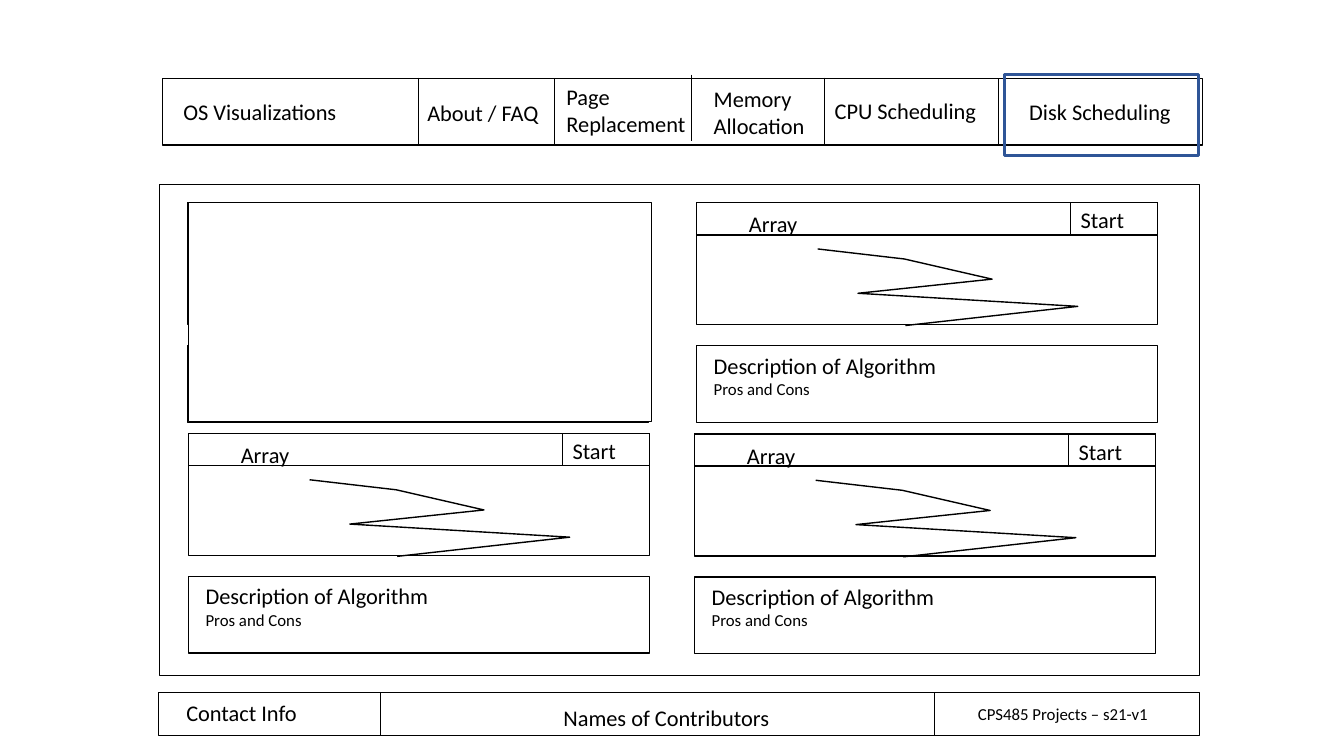
from pptx import Presentation
from pptx.dml.color import RGBColor
from pptx.enum.shapes import MSO_CONNECTOR as CONNECTOR, MSO_SHAPE as SHAPE
from pptx.enum.text import MSO_ANCHOR as ANCHOR, PP_ALIGN as ALIGN
from pptx.oxml.ns import qn
from pptx.util import Inches, Pt
from lxml import etree

COLORS = {"ink": "000000", "paper": "FFFFFF", "active": "2F5597"}
FONT = "Calibri"


def color(name):
    return RGBColor.from_string(COLORS[name])


def style_outline(shape, fill, line, weight):
    shape.shadow.inherit = False
    if fill:
        shape.fill.solid()
        shape.fill.fore_color.rgb = color(fill)
    else:
        shape.fill.background()
    shape.line.color.rgb = color(line)
    shape.line.width = Pt(weight)


def add_box(slide, left, top, width, height, fill="paper", line="ink", weight=1):
    box = slide.shapes.add_shape(
        SHAPE.RECTANGLE, Inches(left), Inches(top), Inches(width), Inches(height))
    style_outline(box, fill, line, weight)


def add_divider(slide, x, top, height):
    divider = slide.shapes.add_connector(
        CONNECTOR.STRAIGHT, Inches(x), Inches(top), Inches(x), Inches(top + height))
    divider.line.color.rgb = color("ink")
    divider.line.width = Pt(0.5)
    etree.SubElement(divider._element.spPr, qn("a:effectLst"))


def add_label(slide, left, top, width, height, *lines):
    """Each line is a (wording, size) pair and becomes one paragraph."""
    frame = slide.shapes.add_textbox(
        Inches(left), Inches(top), Inches(width), Inches(height)).text_frame
    frame.word_wrap = True
    frame.vertical_anchor = ANCHOR.TOP
    for index, (wording, size) in enumerate(lines):
        paragraph = frame.add_paragraph() if index else frame.paragraphs[0]
        paragraph.alignment = ALIGN.LEFT
        run = paragraph.add_run()
        run.text = wording
        run.font.name = FONT
        run.font.size = Pt(size)
        run.font.color.rgb = color("ink")


def add_navigation(slide, left, top, width, height):
    add_box(slide, left, top, width, height)
    # Dividers between tabs: x and vertical nudge
    for dx, dy in [(2.54, -0.01), (3.89, 0), (5.25, -0.04), (6.57, -0.01), (8.29, 0)]:
        add_divider(slide, left + dx, top + dy, height)
    # Tab captions
    tabs = [
        ("OS Visualizations", 0.11, 0.14, 1.83, 0.37),
        ("About / FAQ", 2.53, 0.15, 1.83, 0.37),
        ("Page Replacement", 3.91, 0, 1.7, 0.64),
        ("Memory Allocation", 5.37, 0.02, 1.55, 0.64),
        ("CPU Scheduling", 6.57, 0.13, 1.83, 0.37),
        ("Disk Scheduling", 8.5, 0.14, 1.83, 0.37),
    ]
    for caption, dx, dy, label_width, label_height in tabs:
        add_label(slide, left + dx, top + dy, label_width, label_height, (caption, 16))
    # Selected tab
    add_box(slide, left + 8.35, top - 0.04, 1.93, 0.8,
            fill=None, line="active", weight=2.25)


def add_seek_path(slide, left, top):
    points = [(1.2, 0.46), (2.06, 0.56), (2.93, 0.76),
              (1.6, 0.9), (3.78, 1.03), (2.07, 1.22)]
    track = [(Inches(left + dx), Inches(top + dy)) for dx, dy in points]
    builder = slide.shapes.build_freeform(*track[0])
    builder.add_line_segments(track[1:], close=False)
    style_outline(builder.convert_to_shape(), None, "ink", 1)


def add_algorithm_panel(slide, left, top, width=4.57, labelled=True):
    # Description, visualization and header boxes
    add_box(slide, left, top + 1.42, width, 0.76)
    add_box(slide, left, top, width, 1.21)
    add_box(slide, left, top, width, 0.32, fill=None)
    add_divider(slide, left + 3.71, top, 0.32)
    if labelled:
        add_label(slide, left + 0.42, top + 0.03, 1.74, 0.27, ("Array", 16))
        add_seek_path(slide, left, top)
        add_label(slide, left + 3.71, top - 0.01, 0.82, 0.37, ("Start", 16))
        add_label(slide, left + 0.07, top + 1.43, 3.32, 0.57,
                  ("Description of Algorithm", 16), ("Pros and Cons", 12))


def add_workspace(slide, left, top, width, height):
    add_box(slide, left, top, width, height)
    add_algorithm_panel(slide, left + 0.28, top + 0.18, labelled=False)
    for dx, dy in [(5.33, 0.18), (0.29, 2.47), (5.31, 2.475)]:
        add_algorithm_panel(slide, left + dx, top + dy)
    # Blank area over the first panel
    add_box(slide, left + 0.29, top + 0.18, 4.59, 2.17)


def add_footer(slide, left, top, width, height):
    add_box(slide, left, top, width, height)
    for dx in (2.2, 7.7):
        add_divider(slide, left + dx, top, height)
    add_label(slide, left + 0.18, top + 0.02, 1.83, 0.37, ("Contact Info", 16))
    add_label(slide, left + 3.92, top + 0.07, 2.49, 0.37, ("Names of Contributors", 16))
    add_label(slide, left + 8.03, top + 0.06, 2.09, 0.3, ("CPS485 Projects – s21-v1", 12))


deck = Presentation()
deck.slide_width, deck.slide_height = Inches(13.33), Inches(7.5)
wireframe = deck.slides.add_slide(deck.slide_layouts[6])
add_navigation(wireframe, 1.61, 0.78, 10.32, 0.66)
add_footer(wireframe, 1.57, 6.87, 10.33, 0.43)
add_workspace(wireframe, 1.58, 1.83, 10.32, 4.87)
deck.save("out.pptx")
